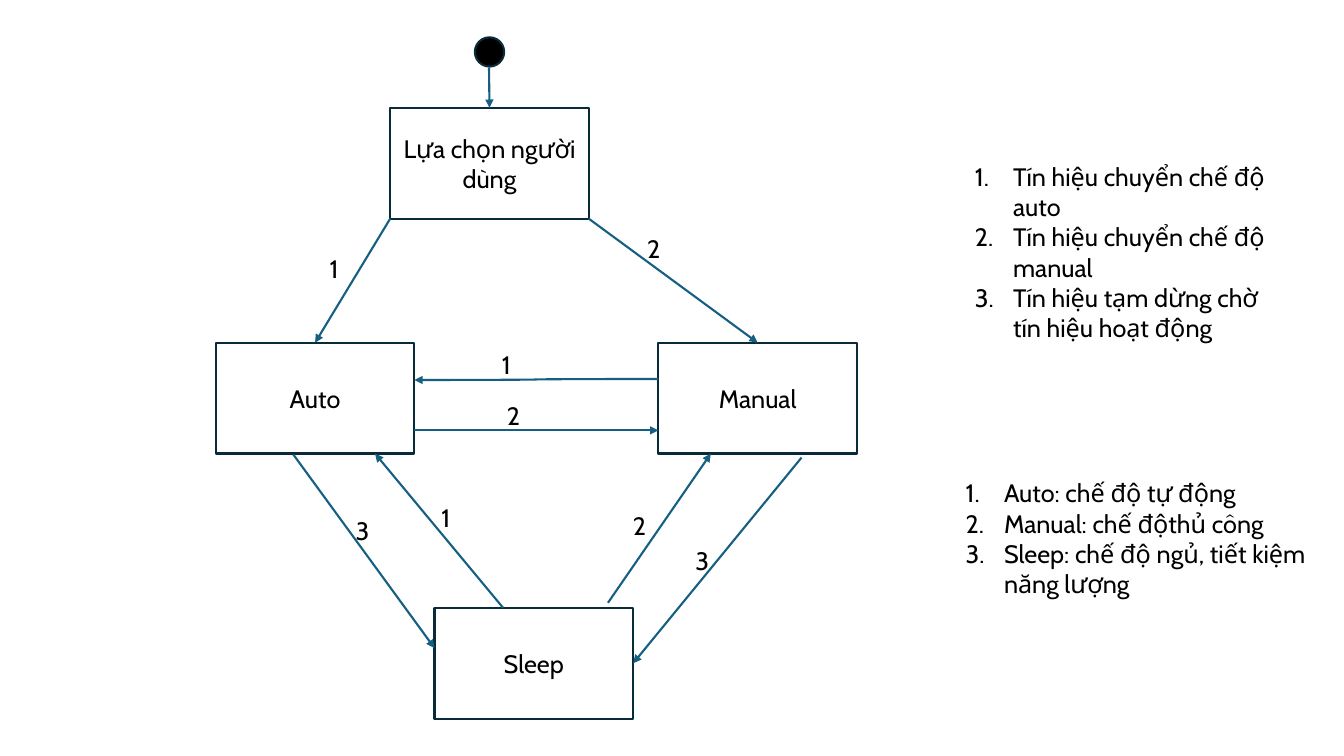
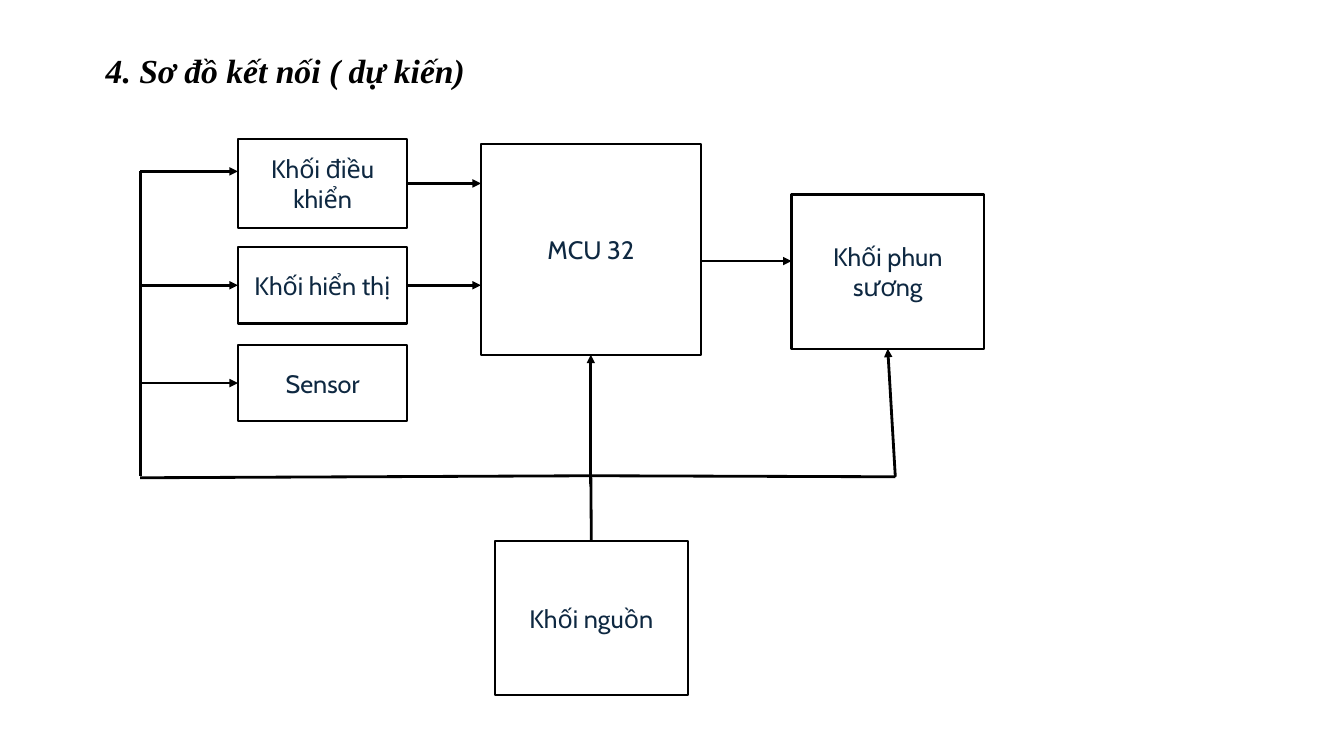
from lxml import etree
from pptx import Presentation
from pptx.dml.color import RGBColor
from pptx.enum.shapes import MSO_CONNECTOR as LINK, MSO_SHAPE as SHAPE
from pptx.enum.text import MSO_ANCHOR as ANCHOR, MSO_AUTO_SIZE as FIT, PP_ALIGN as ALIGN
from pptx.oxml.ns import qn
from pptx.util import Inches, Pt

# Shared look
BLACK, WHITE = "000000", "FFFFFF"
STATE_LINE, ARROW, BLOCK_TEXT = "092A39", "156082", "0E2841"
BODY_FONT, TITLE_FONT = "Cabin", "Times New Roman"
TOP, LEFT, BOTTOM, RIGHT = range(4)  # connection sites of a rectangle


def rgb(hex_colour):
    return RGBColor.from_string(hex_colour)


def number_paragraph(paragraph, indent=0.38):
    props = paragraph._p.get_or_add_pPr()
    props.set("marL", str(Inches(indent)))
    props.set("indent", str(-Inches(indent)))
    etree.SubElement(props, qn("a:buFont"), typeface="+mj-lt")
    etree.SubElement(props, qn("a:buAutoNum"), type="arabicPeriod")


def write(frame, *lines, size=18, font=BODY_FONT, colour=BLACK, bold=False,
          italic=False, align=ALIGN.LEFT, numbered=False):
    for index, line in enumerate(lines):
        paragraph = frame.add_paragraph() if index else frame.paragraphs[0]
        paragraph.alignment = align
        if numbered:
            number_paragraph(paragraph)
        run = paragraph.add_run()
        run.text = line
        run.font.size, run.font.name = Pt(size), font
        run.font.bold, run.font.italic = bold, italic
        run.font.color.rgb = rgb(colour)


def add_text(slide, box, *lines, wrap=True, **style):
    frame = slide.shapes.add_textbox(*map(Inches, box)).text_frame
    frame.word_wrap = wrap
    frame.auto_size = FIT.SHAPE_TO_FIT_TEXT
    write(frame, *lines, **style)


def add_node(slide, box, text="", kind=SHAPE.RECTANGLE, fill=WHITE,
             line=BLACK, colour=BLACK):
    node = slide.shapes.add_shape(kind, *map(Inches, box))
    node.shadow.inherit = False
    node.fill.solid()
    node.fill.fore_color.rgb = rgb(fill)
    node.line.color.rgb = rgb(line)
    node.line.width = Pt(1.5)
    if text:
        node.text_frame.word_wrap = True
        node.text_frame.vertical_anchor = ANCHOR.MIDDLE
        write(node.text_frame, text, colour=colour, align=ALIGN.CENTER)
    return node


def add_link(slide, start, end, colour=BLACK, width=2, head=True,
             kind=LINK.STRAIGHT, source=None, target=None):
    """Draw a line; source and target are optional (node, site) pairs."""
    link = slide.shapes.add_connector(kind, *map(Inches, (*start, *end)))
    link.line.color.rgb = rgb(colour)
    link.line.width = Pt(width)
    if head:
        etree.SubElement(link.line._get_or_add_ln(), qn("a:tailEnd"), type="triangle")
    etree.SubElement(link._element.spPr, qn("a:effectLst"))
    if source:
        link.begin_connect(*source)
    if target:
        link.end_connect(*target)


def state_diagram(slide, left, top):
    def at(x, y):
        return left + x, top + y

    def state(x, y, text):
        return add_node(slide, (*at(x, y), 1.97, 1.1), text, line=STATE_LINE)

    # States
    add_node(slide, (*at(2.57, 0), 0.29, 0.29), kind=SHAPE.FLOWCHART_CONNECTOR,
             fill=BLACK, line=STATE_LINE)
    choice = state(1.73, 0.7, "Lựa chọn người dùng")
    auto = state(0, 3.03, "Auto")
    manual = state(4.39, 3.03, "Manual")
    state(2.17, 5.66, "Sleep")

    # Transitions: start, end, glued target
    for start, end, target in (
        ((2.71, 0.3), (2.71, 0.7), (choice, TOP)),
        ((1.73, 1.8), (0.98, 3.03), (auto, TOP)),
        ((3.7, 1.8), (5.37, 3.03), (manual, TOP)),
        ((1.97, 3.9), (4.39, 3.9), None),
        ((2.85, 5.66), (1.58, 4.13), None),
        ((0.77, 4.14), (2.17, 6.06), None),
        ((3.89, 5.61), (4.91, 4.13), None),
        ((5.81, 4.17), (4.14, 6.21), None),
    ):
        add_link(slide, at(*start), at(*end), ARROW, 1.5, target=target)
    add_link(slide, at(4.39, 3.39), at(1.97, 3.4), ARROW, 1.5, kind=LINK.CURVE)

    # Signal numbers, by the mode each one leads to
    for signal, spots in {
        "1": ((1.03, 2.09), (2.74, 3.05), (2.14, 4.56)),
        "2": ((4.18, 1.9), (2.79, 3.55), (4.04, 4.64)),
        "3": ((1.29, 4.69), (4.66, 4.99)),
    }.items():
        for spot in spots:
            add_text(slide, (*at(*spot), 0.34, 0.4), signal, wrap=False)


def legend(slide, box, *entries):
    add_text(slide, box, *entries, numbered=True)


def block_diagram(slide, left, top):
    def at(x, y):
        return left + x, top + y

    def block(x, y, width, height, text):
        return add_node(slide, (*at(x, y), width, height), text, colour=BLOCK_TEXT)

    def wire(start, end, **options):
        add_link(slide, at(*start), at(*end), **options)

    # Blocks
    block(0.97, 0, 1.68, 0.88, "Khối điều khiển")
    display = block(0.97, 1.07, 1.68, 0.76, "Khối hiển thị")
    sensor = block(0.97, 2.04, 1.68, 0.76, "Sensor")
    controller = block(3.38, 0.05, 2.18, 2.09, "MCU 32")
    spray = block(6.46, 0.55, 1.91, 1.53, "Khối phun sương")
    power = block(3.52, 3.99, 1.91, 1.53, "Khối nguồn")

    # Power bus
    for start, end in (((0, 0.32), (0, 3.34)), ((0, 3.36), (4.47, 3.34)),
                       ((4.47, 3.34), (7.49, 3.35))):
        wire(start, end, head=False)
    wire((4.47, 3.99), (4.47, 3.34), head=False, source=(power, TOP))

    # Power feeds
    wire((0, 0.32), (0.97, 0.32))
    wire((0, 1.45), (0.97, 1.45), target=(display, LEFT))
    wire((0.02, 2.42), (0.97, 2.42), target=(sensor, LEFT))
    wire((4.47, 3.42), (4.47, 2.14), target=(controller, BOTTOM))
    wire((7.49, 3.35), (7.42, 2.08), target=(spray, BOTTOM))

    # Signals
    wire((2.65, 0.44), (3.38, 0.44))
    wire((2.65, 1.45), (3.38, 1.45), source=(display, RIGHT))
    wire((5.56, 1.21), (6.46, 1.21))


def main():
    deck = Presentation()
    deck.slide_width, deck.slide_height = Inches(13.33), Inches(7.5)
    blank = deck.slide_layouts[6]

    modes = deck.slides.add_slide(blank)
    state_diagram(modes, 2.14, 0.37)
    legend(modes, (9.57, 1.55, 3.09, 2.52), "Tín hiệu chuyển chế độ auto",
           "Tín hiệu chuyển chế độ manual", "Tín hiệu tạm dừng chờ tín hiệu hoạt động")
    legend(modes, (9.48, 4.69, 3.97, 1.62), "Auto: chế độ tự động",
           "Manual: chế độthủ công", "Sleep: chế độ ngủ, tiết kiệm năng lượng")

    wiring = deck.slides.add_slide(blank)
    add_text(wiring, (0.95, 0.45, 4.29, 0.5), "4. Sơ đồ kết nối ( dự kiến)",
             size=24, font=TITLE_FONT, bold=True, italic=True)
    block_diagram(wiring, 1.39, 1.38)

    deck.save("out.pptx")


if __name__ == "__main__":
    main()
